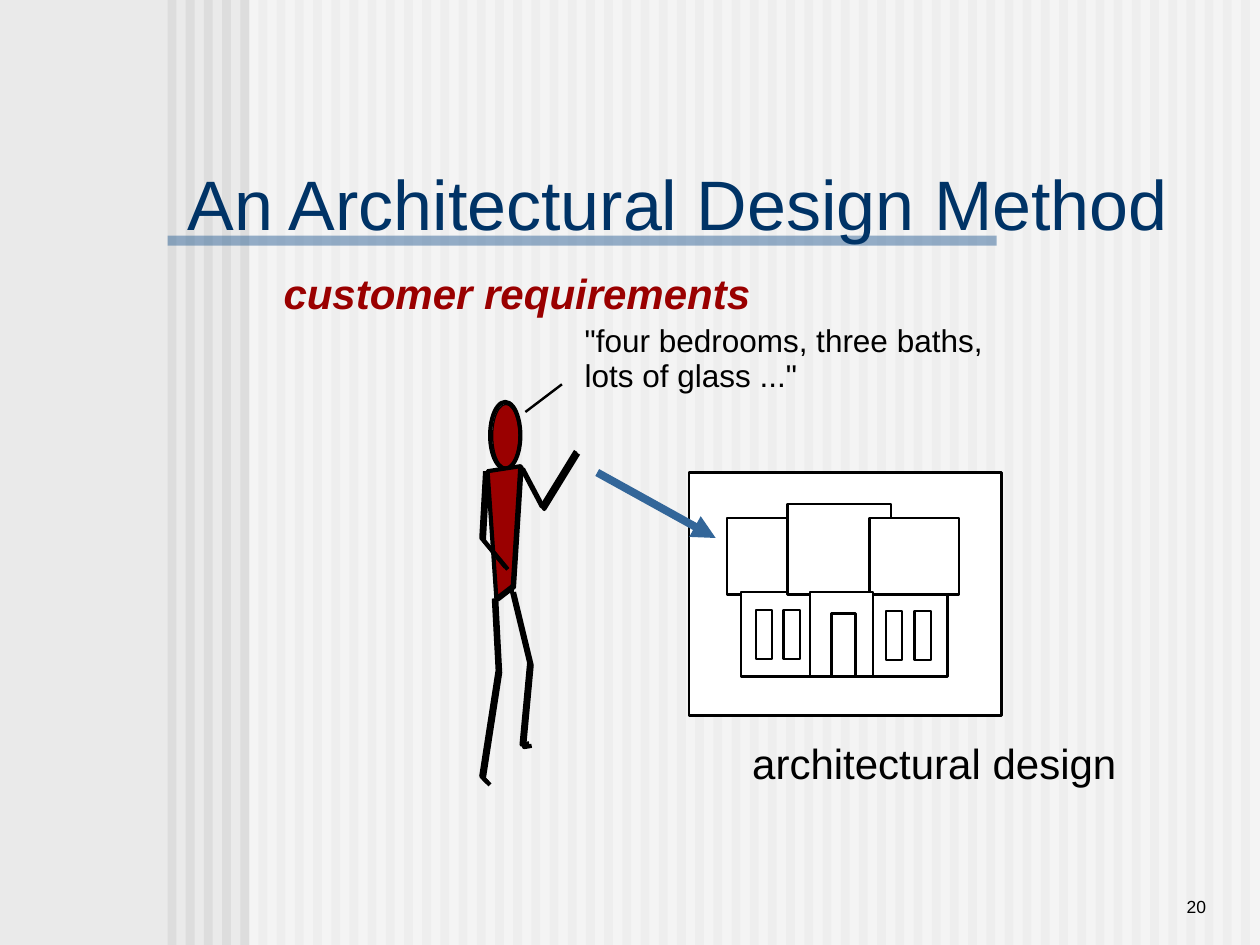
import dataclasses

import lxml.etree
import pptx
import pptx.dml.color
import pptx.enum.dml
import pptx.enum.shapes
import pptx.enum.text
import pptx.oxml.ns
import pptx.util

Inches = pptx.util.Inches
qn = pptx.oxml.ns.qn
KINDS = pptx.enum.shapes.MSO_SHAPE
ALIGN = pptx.enum.text.PP_ALIGN
ANCHOR = pptx.enum.text.MSO_ANCHOR


@dataclasses.dataclass(frozen=True)
class Theme:
    font: str = "Arial"
    back: str = "EAEAEA"
    stripe: str = "DDDDDD"
    white: str = "FFFFFF"
    black: str = "000000"
    blue: str = "336699"
    navy: str = "003366"
    red: str = "9A0000"
    title: int = 40
    label: int = 24
    quote: int = 18
    small: int = 10
    thin: float = 1.39
    limb: float = 2.38
    arrow: float = 4.5


def rgb(color):
    return pptx.dml.color.RGBColor.from_string(color)


def write(frame, text, *, font, size, color, bold=False, italic=False,
          align=ALIGN.LEFT, anchor=ANCHOR.TOP, inset=(0, 0), wrap=False,
          spacing=None):
    """Fill a text frame; inset is (sides, top and bottom) in inches."""
    frame.margin_left = frame.margin_right = Inches(inset[0])
    frame.margin_top = frame.margin_bottom = Inches(inset[1])
    frame.word_wrap = wrap
    frame.vertical_anchor = anchor
    line = frame.paragraphs[0]
    line.alignment = align
    if spacing:
        line.line_spacing = spacing
    run = line.add_run()
    run.text = text
    run.font.name = font
    run.font.size = pptx.util.Pt(size)
    run.font.bold = bold
    run.font.italic = italic
    run.font.color.rgb = rgb(color)


class Page:
    def __init__(self, slide, theme):
        self.slide = slide
        self.shapes = slide.shapes
        self.theme = theme
        slide.background.fill.solid()
        slide.background.fill.fore_color.rgb = rgb(theme.back)

    def paint(self, shape, fill, line, width, alpha):
        """Set fill and line; None leaves that part out, alpha is percent."""
        shape.shadow.inherit = False
        if fill:
            shape.fill.solid()
            shape.fill.fore_color.rgb = rgb(fill)
        else:
            shape.fill.background()
        if alpha < 100:
            tint = shape.element.spPr.find(".//" + qn("a:srgbClr"))
            lxml.etree.SubElement(tint, qn("a:alpha"), val=str(alpha * 1000))
        if line:
            shape.line.color.rgb = rgb(line)
            shape.line.width = pptx.util.Pt(width)
        else:
            shape.line.fill.background()

    def block(self, *box, kind=KINDS.RECTANGLE, fill=None, line=None,
              width=1, alpha=100):
        shape = self.shapes.add_shape(kind, *map(Inches, box))
        self.paint(shape, fill, line, width, alpha)

    def trace(self, points, fill=None, closed=False, shift=0):
        """Draw an outline through points, moved right and down by shift."""
        first, *rest = [(Inches(x + shift), Inches(y + shift))
                        for x, y in points]
        pen = self.shapes.build_freeform(*first)
        pen.add_line_segments(rest, close=closed)
        self.paint(pen.convert_to_shape(), fill, self.theme.black,
                   self.theme.limb, 100)

    def link(self, start, end, color, width, head=False):
        line = self.shapes.add_connector(
            pptx.enum.shapes.MSO_CONNECTOR.STRAIGHT,
            *map(Inches, (*start, *end)))
        line.line.color.rgb = rgb(color)
        line.line.width = pptx.util.Pt(width)
        props = line.element.spPr
        if head:
            lxml.etree.SubElement(props.find(qn("a:ln")), qn("a:tailEnd"),
                                  type="triangle")
        lxml.etree.SubElement(props, qn("a:effectLst"))

    def text(self, text, *box, **style):
        frame = self.shapes.add_textbox(*map(Inches, box)).text_frame
        write(frame, text, font=self.theme.font, **style)

    def title(self, text, *box):
        """Place the title in front of what has been drawn so far."""
        holder = self.shapes.title
        holder.left, holder.top, holder.width, holder.height = map(Inches, box)
        write(holder.text_frame, text, font=self.theme.font,
              size=self.theme.title, color=self.theme.navy, wrap=True,
              anchor=ANCHOR.MIDDLE, inset=(0.07, 0.03))
        holder.element.getparent().append(holder.element)


def draw_back(page):
    theme = page.theme
    count, left, right = 60, 1.33, 9.85
    step = (right - left) / (count - 1)
    for i in range(count):
        page.block(left + i * step, 0, 0.07, 7.5, fill=theme.stripe)
    page.block(1.98, 0, 8.02, 7.5, fill=theme.white, alpha=50)
    page.block(1.33, 1.87, 6.58, 0.08, fill=theme.blue, alpha=50)


def draw_person(page):
    theme = page.theme
    oval = KINDS.OVAL
    page.block(3.91, 3.21, 0.21, 0.5, kind=oval, fill=theme.red,
               line=theme.black, width=0.75)
    page.block(3.89, 3.19, 0.24, 0.53, kind=oval, line=theme.black,
               width=theme.limb)
    torso = [(3.87, 3.74), (4.13, 3.7), (4.07, 4.65), (3.94, 4.75)]
    page.trace(torso, closed=True, shift=0.01)
    page.trace(torso, fill=theme.red, closed=True)
    limbs = [
        [(4.13, 3.7), (4.3, 4.02), (4.57, 3.58)],
        [(3.85, 3.74), (3.82, 4.27), (4.01, 4.5)],
        [(4.06, 4.68), (4.2, 5.26), (4.14, 5.91), (4.2, 5.9)],
        [(3.92, 4.75), (3.95, 5.32), (3.82, 6.16), (3.87, 6.21)],
    ]
    for limb in limbs:
        for shift in (0.02, 0):
            page.trace(limb, shift=shift)


def draw_house(page):
    theme = page.theme
    sheet = (5.47, 3.75, 2.48, 1.93)
    walls = [(5.77, 4.11, 0.5, 0.61), (5.88, 4.7, 1.64, 0.67),
             (6.25, 4, 0.82, 0.72), (6.9, 4.11, 0.71, 0.61),
             (6.43, 4.7, 0.5, 0.67)]
    panes = [(x, y, 0.13, 0.39) for x, y in
             [(6, 4.84), (6.22, 4.84), (7.03, 4.85), (7.26, 4.85)]]
    door = (6.6, 4.87, 0.19, 0.5)
    for box in [sheet, *walls, *panes, door]:
        page.block(*box, fill=theme.white, line=theme.black, width=theme.thin)


def main():
    deck = pptx.Presentation()
    deck.slide_width, deck.slide_height = Inches(10), Inches(7.5)
    theme = Theme()
    page = Page(deck.slides.add_slide(deck.slide_layouts[5]), theme)

    draw_back(page)
    page.title("An Architectural Design Method", 1.42, 1.25, 7.95, 0.72)
    quote = ['"four bedrooms, three baths,', 'lots of glass ..."']
    for i, line in enumerate(quote):
        page.text(line, 4.64, 2.58 + i * 0.28, 3.16, 0.27, size=theme.quote,
                  color=theme.black, spacing=0.9)
    page.text("customer requirements", 2.25, 2.17, 3.71, 0.36,
              size=theme.label, color=theme.red, bold=True, italic=True,
              spacing=0.9)
    draw_person(page)
    page.link((4.17, 3.27), (4.46, 3.05), theme.black, theme.thin)
    draw_house(page)
    page.text("architectural design", 5.97, 5.9, 2.89, 0.36,
              size=theme.label, color=theme.black, spacing=0.9)
    page.link((4.74, 3.75), (5.68, 4.27), theme.blue, theme.arrow, head=True)
    page.text("20", 8.25, 6.83, 1.42, 0.5, size=theme.small,
              color=theme.black, align=ALIGN.RIGHT, anchor=ANCHOR.BOTTOM,
              inset=(0.1, 0.05), wrap=True)
    deck.save("out.pptx")


if __name__ == "__main__":
    main()
